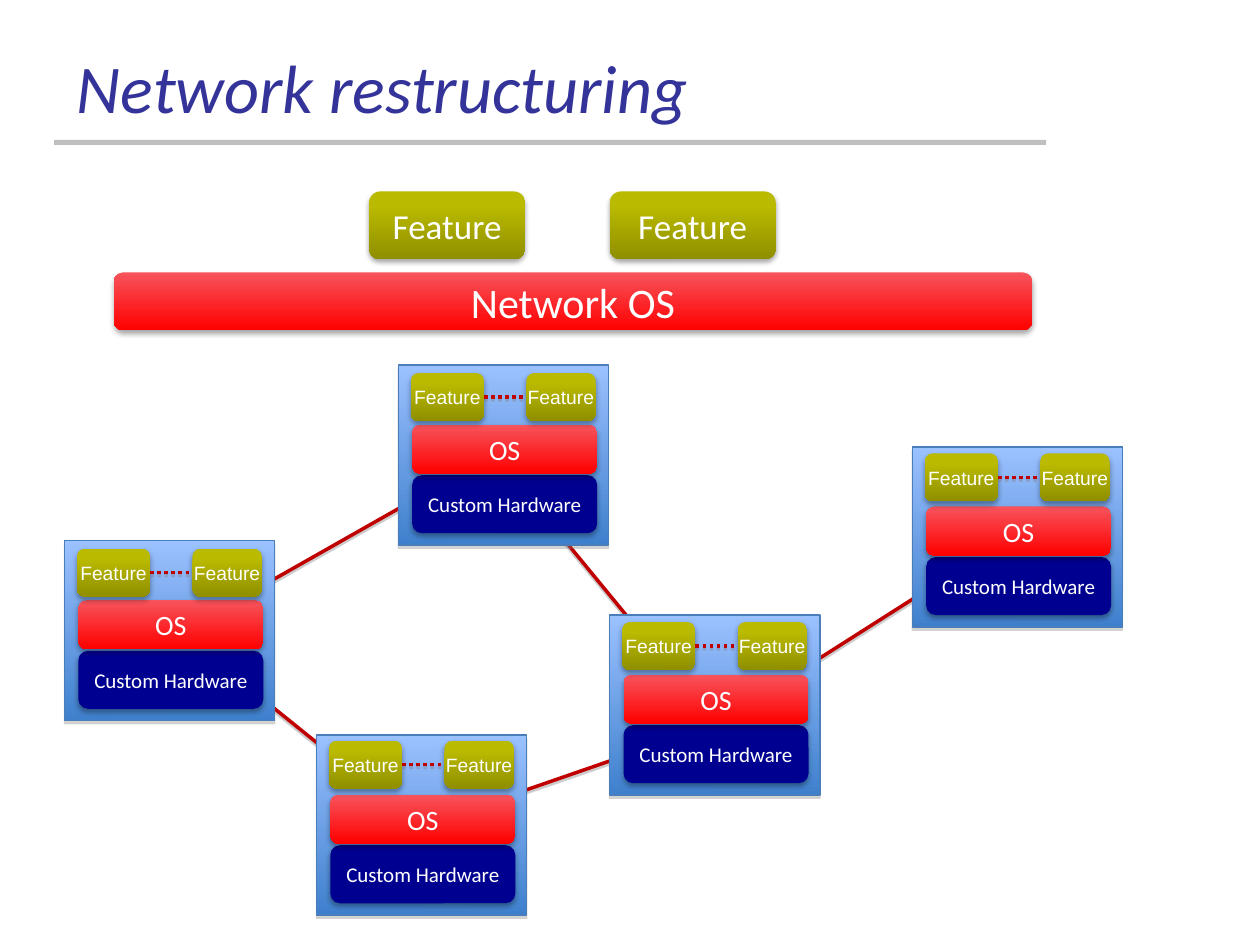
from lxml.etree import SubElement
from pptx import Presentation
from pptx.dml.color import RGBColor
from pptx.enum.dml import MSO_LINE
from pptx.enum.shapes import MSO_CONNECTOR, MSO_SHAPE
from pptx.enum.text import MSO_ANCHOR, PP_ALIGN
from pptx.oxml.ns import qn
from pptx.util import Cm, Pt

TITLE = "Network restructuring"
NETWORK_OS = ("Network OS", (2.29, 5.49, 18.52, 1.17))
NETWORK_FEATURES = [
    ("Feature", (7.44, 3.86, 3.15, 1.37)),
    ("Feature", (12.29, 3.86, 3.35, 1.37)),
]
SWITCHES = {
    "west": {"corner": (1.3, 10.9), "hub": (3.63, 12.75), "feature_gap": 0.16},
    "north": {"corner": (8.03, 7.36), "hub": (9.96, 9.16), "feature_gap": 0.16},
    "east": {"corner": (18.39, 9.01), "hub": (20.5, 10.74), "feature_gap": 0.13},
    "south": {"corner": (6.38, 14.82), "hub": (8.48, 16.66), "feature_gap": 0.11},
    "centre": {"corner": (12.29, 12.4), "hub": (14.43, 14.6), "feature_gap": 0.14},
}
LINKS = [
    ("west", "north"),
    ("north", "centre"),
    ("south", "centre"),
    ("west", "south"),
    ("centre", "east"),
]
SWITCH_SIZE = (4.24, 3.63)
SWITCH_LAYERS = [
    ("Custom Hardware", 2.22, 1.17, 12, ["000090"]),
    ("OS", 1.2, 0.99, 16, ["F7545C", "FF0000"]),
]
LAYER_INDENT, LAYER_WIDTH = 0.28, 3.73
SWITCH_FEATURES = [("Feature", 0.25, 1.48), ("Feature", 2.58, 1.4)]
FEATURE_HEIGHT = 0.97

BLUE = ["9BC1FF", "3F80CD"]
RED = ["F7545C", "FF0000"]
OLIVE = ["BABA00", "8F8F00"]
OLIVE_START = 0.2
BLOCK_SHADOW = ("000000", 35, 3.1, 1.8)
SWITCH_SHADOW = ("808080", 35, 0, 1.8)
LINK_SHADOW = ("808080", 38, 0, 1.6)


def rgb(value):
    return RGBColor.from_string(value)


def cast_shadow(item, color, opacity, blur, distance):
    effects = SubElement(item._element.spPr, qn("a:effectLst"))
    outer = SubElement(effects, qn("a:outerShdw"), blurRad=str(Pt(blur)),
                       dist=str(Pt(distance)), dir="5400000", rotWithShape="0")
    tone = SubElement(outer, qn("a:srgbClr"), val=color)
    SubElement(tone, qn("a:alpha"), val=str(opacity * 1000))


def paint(shape, colors, start=0):
    if len(colors) == 1:
        shape.fill.solid()
        shape.fill.fore_color.rgb = rgb(colors[0])
        return
    shape.fill.gradient()
    shape.fill.gradient_angle = 270
    for stop, color, position in zip(shape.fill.gradient_stops, colors, (start, 1)):
        stop.color.rgb = rgb(color)
        stop.position = position


def style_text(frame, text, size, font, color):
    frame.text = text
    paragraph = frame.paragraphs[0]
    paragraph.font.size = Pt(size)
    paragraph.font.name = font
    paragraph.font.color.rgb = rgb(color)
    return paragraph


def add_block(shapes, box, text, size, colors, font="Calibri", start=0):
    block = shapes.add_shape(MSO_SHAPE.ROUNDED_RECTANGLE, *map(Cm, box))
    paint(block, colors, start)
    block.line.fill.background()
    cast_shadow(block, *BLOCK_SHADOW)
    frame = block.text_frame
    frame.margin_left = frame.margin_right = frame.margin_top = frame.margin_bottom = 0
    frame.word_wrap = False
    frame.vertical_anchor = MSO_ANCHOR.MIDDLE
    style_text(frame, text, size, font, "FFFFFF").alignment = PP_ALIGN.CENTER


def add_link(shapes, start, end, dotted=False):
    link = shapes.add_connector(MSO_CONNECTOR.STRAIGHT, *map(Cm, (*start, *end)))
    link.line.color.rgb = rgb("C00000")
    link.line.width = Pt(2)
    if dotted:
        link.line.dash_style = MSO_LINE.ROUND_DOT
    cast_shadow(link, *LINK_SHADOW)


def add_switch(shapes, corner, feature_gap):
    left, top = corner
    body = shapes.add_shape(MSO_SHAPE.RECTANGLE, *map(Cm, (*corner, *SWITCH_SIZE)))
    paint(body, BLUE)
    body.line.color.rgb = rgb("4A7EBB")
    body.line.width = Pt(0.75)
    cast_shadow(body, *SWITCH_SHADOW)
    for text, offset, height, size, colors in SWITCH_LAYERS:
        box = (left + LAYER_INDENT, top + offset, LAYER_WIDTH, height)
        add_block(shapes, box, text, size, colors)

    features = shapes.add_group_shape().shapes
    feature_top = top + feature_gap
    for text, offset, width in SWITCH_FEATURES:
        box = (left + offset, feature_top, width, FEATURE_HEIGHT)
        add_block(features, box, text, 11, OLIVE, "Arial", OLIVE_START)
    (_, first, first_width), (_, second, _) = SWITCH_FEATURES
    middle = feature_top + FEATURE_HEIGHT / 2
    add_link(features, (left + first + first_width, middle), (left + second, middle), True)


def main():
    deck = Presentation()
    deck.slide_width, deck.slide_height = Cm(25.4), Cm(19.05)
    shapes = deck.slides.add_slide(deck.slide_layouts[6]).shapes

    rule = shapes.add_shape(MSO_SHAPE.RECTANGLE, Cm(1.09), Cm(2.82), Cm(20), Cm(0.1))
    rule.shadow.inherit = False
    paint(rule, ["BFBFBF"])
    rule.line.fill.background()

    title = shapes.add_textbox(Cm(1.3), Cm(0.71), Cm(20.96), Cm(1.98)).text_frame
    title.word_wrap = True
    title.vertical_anchor = MSO_ANCHOR.BOTTOM
    style_text(title, TITLE, 39, "Calibri", "333399").font.italic = True

    for start, end in LINKS:
        add_link(shapes, SWITCHES[start]["hub"], SWITCHES[end]["hub"])
    for switch in SWITCHES.values():
        add_switch(shapes, switch["corner"], switch["feature_gap"])

    text, box = NETWORK_OS
    add_block(shapes, box, text, 24, RED)
    network_features = shapes.add_group_shape().shapes
    for text, box in NETWORK_FEATURES:
        add_block(network_features, box, text, 20, OLIVE, start=OLIVE_START)

    deck.save("out.pptx")


if __name__ == "__main__":
    main()
